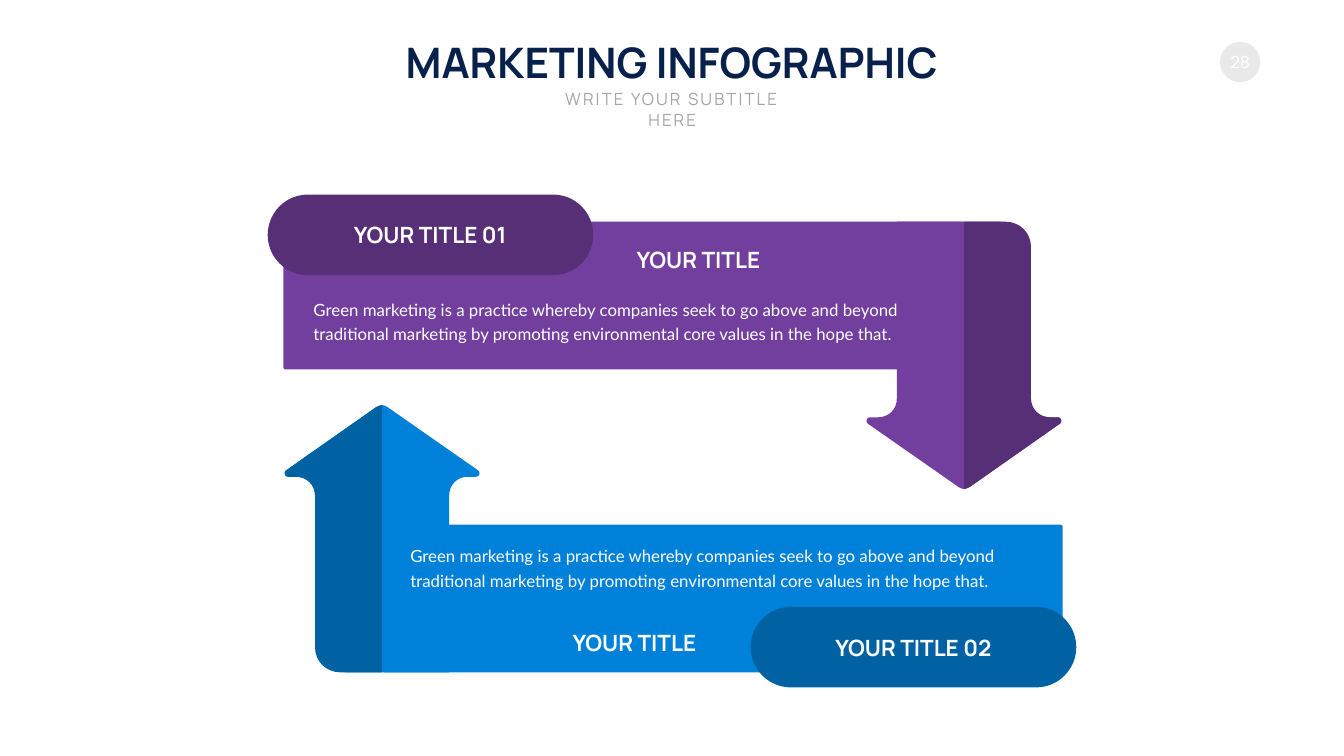
from pptx import Presentation
from pptx.dml.color import RGBColor
from pptx.enum.shapes import MSO_SHAPE
from pptx.enum.text import MSO_ANCHOR, MSO_AUTO_SIZE, PP_ALIGN
from pptx.util import Inches, Pt

OVAL, ROUND = MSO_SHAPE.OVAL, MSO_SHAPE.ROUNDED_RECTANGLE
LEFT, MID, RIGHT = PP_ALIGN.LEFT, PP_ALIGN.CENTER, PP_ALIGN.RIGHT
TOP, CORE = MSO_ANCHOR.TOP, MSO_ANCHOR.MIDDLE
GROW = MSO_AUTO_SIZE.SHAPE_TO_FIT_TEXT
NAVY, GREY, PALE, WHITE = "08204C", "A6A6A6", "E9E9E9", "FFFFFF"
PLUM, GRAPE, SKY, SEA = "723F9F", "562F77", "0081D9", "0061A3"
HEAD, BODY = "Manrope", "Lato"

deck = Presentation()
cell = Inches(1)
deck.slide_width, deck.slide_height = int(26.66 * cell), 15 * cell
slide = deck.slides.add_slide(deck.slide_layouts[6])
shapes = slide.shapes


def coat(shape, hue):
    shape.shadow.inherit = False
    shape.fill.solid()
    shape.fill.fore_color.rgb = RGBColor.from_string(hue)
    shape.line.fill.background()


def write(frame, words, size, face, hue, bold, side):
    line = frame.paragraphs[0]
    line.alignment = side
    run = line.add_run()
    run.text = words
    run.font.size = Pt(size)
    run.font.name = face
    run.font.bold = bold
    run.font.color.rgb = RGBColor.from_string(hue)
    return line


disc = shapes.add_shape(OVAL, *[int(n * cell) for n in (24.2, 0.83, 0.8, 0.8)])
coat(disc, PALE)
frame = disc.text_frame
frame.margin_left = frame.margin_right = frame.margin_top = frame.margin_bottom = 0
frame.vertical_anchor = CORE
frame.word_wrap = False
write(frame, "28", 24, HEAD, WHITE, False, MID)

band = [
    (19.12, 7.33), (5.67, 7.33), (5.64, 7.33, 5.62, 7.31, 5.62, 7.28),
    (5.62, 4.44), (5.62, 4.42, 5.64, 4.4, 5.67, 4.4),
    (19.07, 4.4), (19.1, 4.4, 19.12, 4.42, 19.12, 4.44),
]
barb = [
    (20.45, 7.91), (20.45, 8.12, 20.62, 8.28, 20.82, 8.28),
    (20.98, 8.28), (21.05, 8.28, 21.08, 8.37, 21.02, 8.41),
]
tip = [(21.02, 8.41), (19.24, 9.66), (19.2, 9.68, 19.16, 9.7, 19.12, 9.7)]
arrow = tip + [
    (19.08, 9.7, 19.04, 9.68, 19.01, 9.66),
    (17.22, 8.41), (17.16, 8.37, 17.19, 8.28, 17.26, 8.28),
    (17.42, 8.28), (17.63, 8.28, 17.79, 8.12, 17.79, 7.91),
    (17.79, 4.4), (19.83, 4.4), (19.97, 4.4, 20.09, 4.52, 20.09, 4.66),
] + barb
shade = tip + [
    (19.12, 4.4), (19.95, 4.4), (20.23, 4.4, 20.45, 4.62, 20.45, 4.89),
] + barb

for turn, light, dark, left, top in (
    (False, PLUM, GRAPE, 5.31, 3.86),
    (True, SKY, SEA, 14.89, 12.04),
):
    for path, hue in ((band, light), (arrow, light), (shade, dark)):
        spots = [path[0]]
        for step in path[1:]:
            if len(step) == 2:
                spots.append(step)
                continue
            knots = [spots[-1], step[:2], step[2:4], step[4:]]
            for tick in range(1, 9):
                t = tick / 8
                rates = ((1 - t) ** 3, 3 * t * (1 - t) ** 2, 3 * t * t * (1 - t), t ** 3)
                spots.append(tuple(sum(r * k[i] for r, k in zip(rates, knots)) for i in (0, 1)))
        if turn:
            spots = [(26.7 - x, 17.74 - y) for x, y in spots]
        spots = [(int(x * cell), int(y * cell)) for x, y in spots]
        pen = shapes.build_freeform(*spots[0])
        pen.add_line_segments(spots[1:], close=True)
        coat(pen.convert_to_shape(), hue)
    pill = shapes.add_shape(ROUND, *[int(n * cell) for n in (left, top, 6.46, 1.6)])
    pill.adjustments[0] = 0.5
    coat(pill, dark)

pitch = (
    "Green marketing is a practice whereby companies seek to go above and beyond "
    "traditional marketing by promoting environmental core values in the hope that."
)
for spot, words, size, face, hue, bold, side, hold, wrap in (
    ((7.71, 0.67, 11.23, 1.11), "MARKETING INFOGRAPHIC", 60, HEAD, NAVY, True, MID, TOP, False),
    ((10.62, 1.72, 5.43, 0.5), "WRITE YOUR SUBTITLE HERE", 24, HEAD, GREY, False, MID, TOP, True),
    ((6.92, 4.34, 3.23, 0.64), "YOUR TITLE 01", 32, HEAD, WHITE, True, MID, CORE, False),
    ((12.53, 4.82, 2.68, 0.64), "YOUR TITLE", 32, HEAD, WHITE, True, LEFT, CORE, False),
    ((6.12, 5.81, 12.57, 1.03), pitch, 24, BODY, WHITE, False, LEFT, TOP, True),
    ((16.46, 12.52, 3.32, 0.64), "YOUR TITLE 02", 32, HEAD, WHITE, True, MID, CORE, False),
    ((8.04, 10.7, 12.57, 1.03), pitch, 24, BODY, WHITE, False, LEFT, TOP, True),
    ((11.23, 12.42, 2.68, 0.64), "YOUR TITLE", 32, HEAD, WHITE, True, RIGHT, CORE, False),
):
    frame = shapes.add_textbox(*[int(n * cell) for n in spot]).text_frame
    frame.word_wrap = wrap
    frame.auto_size = GROW
    frame.vertical_anchor = hold
    line = write(frame, words, size, face, hue, bold, side)
    if face == BODY:
        line.line_spacing = Pt(35)
    if hue == GREY:
        line.runs[0].font._element.set("spc", "300")

deck.save("out.pptx")
